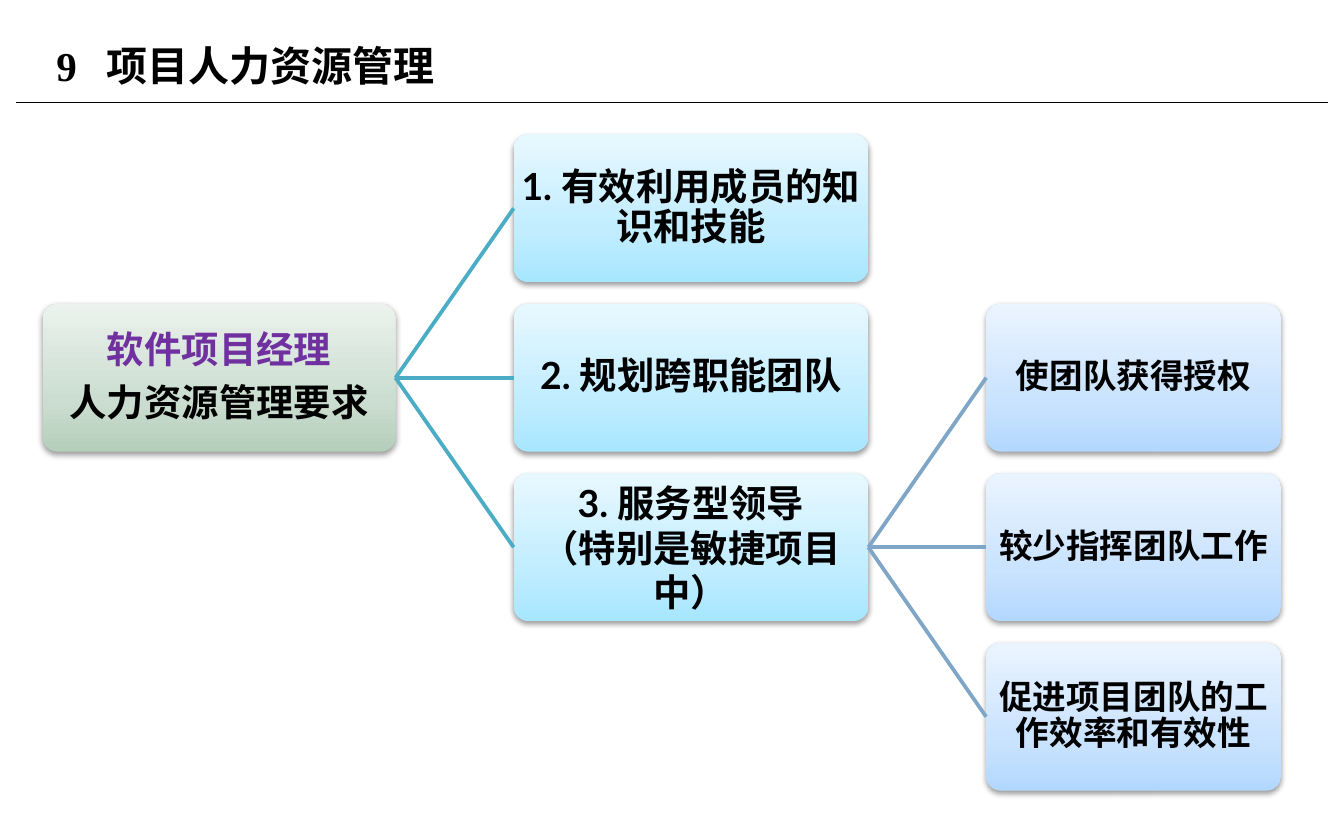
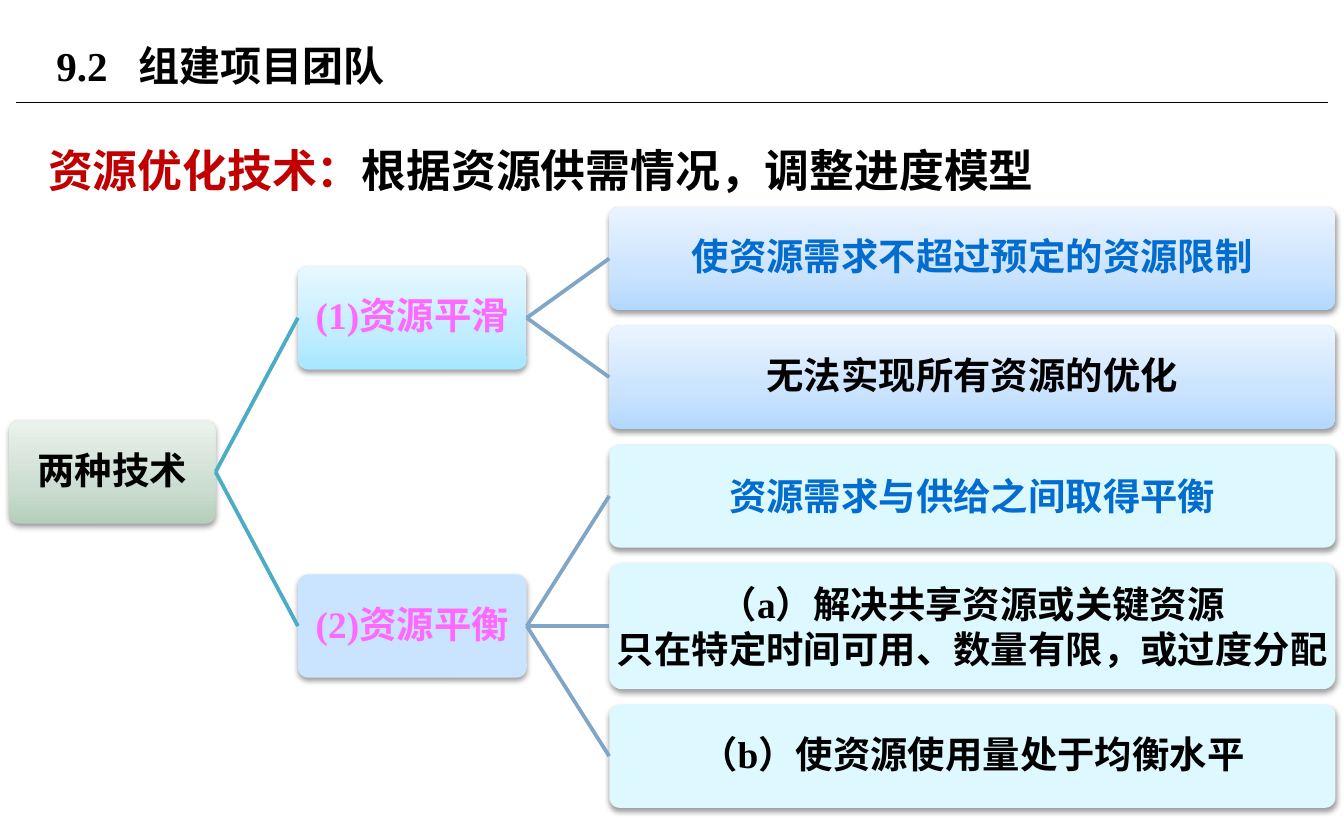
from collections import namedtuple
from copy import deepcopy

from lxml import etree
from pptx import Presentation
from pptx.dml.color import RGBColor
from pptx.enum import shapes, text
from pptx.oxml import ns
from pptx.util import Pt

BLACK = RGBColor(0x00, 0x00, 0x00)
PURPLE = RGBColor(0x70, 0x30, 0xA0)
RED = RGBColor(0xC0, 0x00, 0x00)
PINK = RGBColor(0xFF, 0x69, 0xFF)
BLUE = RGBColor(0x02, 0x6D, 0xCE)
TEAL_LINE = RGBColor(0x4B, 0xAC, 0xC6)
STEEL_LINE = RGBColor(0x7F, 0xA6, 0xC7)

# Card fills: gradients run from the bottom edge to the top, single colours are flat
GREEN_FADE = ["B5CFBB", "CBDDD0", "EBF2ED"]
CYAN_FADE = ["A7E6FF", "C1EDFF", "E7F8FF"]
SKY_FADE = ["B3D8FE", "CAE3FE", "EAF4FF"]
FADE_STOPS = [0, 0.35, 1]
PALE_BLUE = ["CAE3FE"]
PALE_CYAN = ["DEF8FF"]

SERIF, SANS = "Times New Roman", "Lato"
TIGHT = {"line_spacing": 0.9, "space_after": Pt(7)}
LOOSE = {"line_spacing": 1.0}

Box = namedtuple("Box", "left top width height")


def set_values(target, values):
    for name, value in values.items():
        setattr(target, name, value)


def place(shape, box):
    set_values(shape, {name: Pt(value) for name, value in box._asdict().items()})


def add_span(para, words, size, color, font=SERIF):
    span = para.add_run()
    span.text = words
    set_values(span.font, {"size": Pt(size), "name": font, "bold": True})
    span.font.color.rgb = color


def add_rule(page, color, weight, start=(0, 0), end=(0, 0)):
    rule = page.shapes.add_connector(
        shapes.MSO_CONNECTOR.STRAIGHT, *[Pt(value) for value in (*start, *end)])
    rule.line.color.rgb = color
    rule.line.width = Pt(weight)
    etree.SubElement(rule._element.spPr, ns.qn("a:effectLst"))
    return rule


def add_page(deck, title, tab):
    """Title-only page with its heading and the line below it."""
    page = deck.slides.add_slide(deck.slide_layouts[5])
    add_rule(page, BLACK, 0.75, (8.6, 55), (711.4, 55))
    heading = page.shapes.title
    place(heading, Box(23, 9.4, 459.4, 51))
    set_values(heading.text_frame, {
        "vertical_anchor": text.MSO_ANCHOR.MIDDLE, "word_wrap": True,
        "auto_size": text.MSO_AUTO_SIZE.NONE})
    para = heading.text_frame.paragraphs[0]
    para.alignment = text.PP_ALIGN.LEFT
    tabs = etree.SubElement(para._p.get_or_add_pPr(), ns.qn("a:tabLst"))
    etree.SubElement(tabs, ns.qn("a:tab"), pos=str(Pt(tab)), algn="l")
    add_span(para, title, 22, BLACK)
    return page


def fill_card(card, colors):
    rgbs = [RGBColor.from_string(color) for color in colors]
    if len(rgbs) == 1:
        card.fill.solid()
        card.fill.fore_color.rgb = rgbs[0]
        return
    card.fill.gradient()
    card.fill.gradient_angle = 90
    stop_list = card._element.spPr.find(".//" + ns.qn("a:gsLst"))
    stop_list.append(deepcopy(stop_list[0]))
    for stop, position, rgb in zip(card.fill.gradient_stops, FADE_STOPS, rgbs):
        stop.position = position
        stop.color.rgb = rgb


def add_shadow(card):
    card.shadow.inherit = False
    effects = card._element.spPr.find(ns.qn("a:effectLst"))
    shadow = etree.SubElement(
        effects, ns.qn("a:outerShdw"), blurRad=str(Pt(3.1)), dist=str(Pt(1.6)),
        dir="5400000", rotWithShape="0")
    color = etree.SubElement(shadow, ns.qn("a:srgbClr"), val="000000")
    etree.SubElement(color, ns.qn("a:alpha"), val="38000")


def add_card(page, box, lines, colors, color=BLACK, font=SERIF, size=20, spacing=TIGHT):
    """Rounded card; each line is a string or a (string, colour) pair."""
    card = page.shapes.add_shape(
        shapes.MSO_SHAPE.ROUNDED_RECTANGLE, *[Pt(value) for value in box])
    card.adjustments[0] = 0.1
    fill_card(card, colors)
    card.line.fill.background()
    add_shadow(card)
    frame = card.text_frame
    set_values(frame, {"word_wrap": True, "vertical_anchor": text.MSO_ANCHOR.MIDDLE})
    set_values(frame, dict.fromkeys(
        ["margin_left", "margin_top", "margin_right", "margin_bottom"], Pt(0.7)))
    for index, line in enumerate(lines):
        words, line_color = (line, color) if isinstance(line, str) else line
        para = frame.add_paragraph() if index else frame.paragraphs[0]
        set_values(para, {"alignment": text.PP_ALIGN.CENTER, **spacing})
        add_span(para, words, size, line_color, font)
    return card


def stack(left, top, width, heights, gap):
    """Boxes below one another with equal gaps."""
    boxes = []
    for height in heights:
        boxes.append(Box(left, top, width, height))
        top += height + gap
    return boxes


def beside(boxes, left, width, height):
    """Box centred on the height of a group of boxes."""
    middles = [box.top + box.height / 2 for box in (boxes[0], boxes[-1])]
    return Box(left, sum(middles) / 2 - height / 2, width, height)


def join(page, parent, children, color):
    for child in children:
        branch = add_rule(page, color, 2)
        branch.begin_connect(parent, 3)
        branch.end_connect(child, 1)


def build_requirements(deck):
    page = add_page(deck, "9\t项目人力资源管理", 27)
    height, gap, top = 79.2, 11.6, 72

    # Three requirements, the last of which has three results
    need_boxes = stack(275.2, top, 190, [height] * 3, gap)
    result_boxes = stack(528.3, top + height + gap, 158, [height] * 3, gap)
    root = add_card(page, beside(need_boxes, 22.9, 189, height),
                    [("软件项目经理", PURPLE), "人力资源管理要求"], GREEN_FADE)
    needs = [
        (["1. 有效利用成员的知识和技能"], TIGHT),
        (["2. 规划跨职能团队"], TIGHT),
        (["3. 服务型领导", "（特别是敏捷项目中）"], LOOSE),
    ]
    need_cards = [add_card(page, box, lines, CYAN_FADE, font=SANS, spacing=spacing)
                  for box, (lines, spacing) in zip(need_boxes, needs)]
    results = [("使团队获得授权", SANS), ("较少指挥团队工作", SERIF),
               ("促进项目团队的工作效率和有效性", SERIF)]
    result_cards = [add_card(page, box, [words], SKY_FADE, font=font, size=18)
                    for box, (words, font) in zip(result_boxes, results)]
    join(page, root, need_cards, TEAL_LINE)
    join(page, need_cards[-1], result_cards, STEEL_LINE)


def add_lead(page, box):
    lead = page.shapes.add_textbox(*[Pt(value) for value in box])
    lead.text_frame.word_wrap = True
    para = lead.text_frame.paragraphs[0]
    para.line_spacing = 1.5
    add_span(para, "资源优化技术：", 24, RED)
    add_span(para, "根据资源供需情况，调整进度模型", 24, BLACK)


def build_techniques(deck):
    page = add_page(deck, "9.2\t组建项目团队", 44.2)
    add_lead(page, Box(18.7, 58.3, 683.3, 280.8))
    height, tall = 55.4, 67.6

    # Details: two for smoothing, three for levelling
    details = [
        (["使资源需求不超过预定的资源限制"], SKY_FADE, BLUE, SANS, TIGHT),
        (["无法实现所有资源的优化"], SKY_FADE, BLACK, SANS, TIGHT),
        (["资源需求与供给之间取得平衡"], PALE_CYAN, BLUE, SERIF, LOOSE),
        (["（a）解决共享资源或关键资源", "只在特定时间可用、数量有限，或过度分配"],
         PALE_CYAN, BLACK, SERIF, LOOSE),
        (["（b）使资源使用量处于均衡水平"], PALE_CYAN, BLACK, SERIF, TIGHT),
    ]
    heights = [tall if len(detail[0]) > 1 else height for detail in details]
    detail_boxes = stack(326.4, 110.8, 389, heights, 8.2)
    detail_cards = [add_card(page, box, lines, fill, color, font, spacing=spacing)
                    for box, (lines, fill, color, font, spacing)
                    in zip(detail_boxes, details)]

    # Techniques, each centred on its details
    techniques = [("(1)资源平滑", CYAN_FADE, slice(0, 2)),
                  ("(2)资源平衡", PALE_BLUE, slice(2, 5))]
    technique_boxes = [beside(detail_boxes[group], 159.6, 122.6, height)
                       for _, _, group in techniques]
    root = add_card(page, beside(technique_boxes, 4.8, 110.7, height),
                    ["两种技术"], GREEN_FADE, font=SANS)
    technique_cards = []
    for box, (words, fill, group) in zip(technique_boxes, techniques):
        card = add_card(page, box, [words], fill, PINK)
        join(page, card, detail_cards[group], STEEL_LINE)
        technique_cards.append(card)
    join(page, root, technique_cards, TEAL_LINE)


def main():
    deck = Presentation()
    set_values(deck, {"slide_width": Pt(720), "slide_height": Pt(450)})
    build_requirements(deck)
    build_techniques(deck)
    deck.save("out.pptx")


if __name__ == "__main__":
    main()
